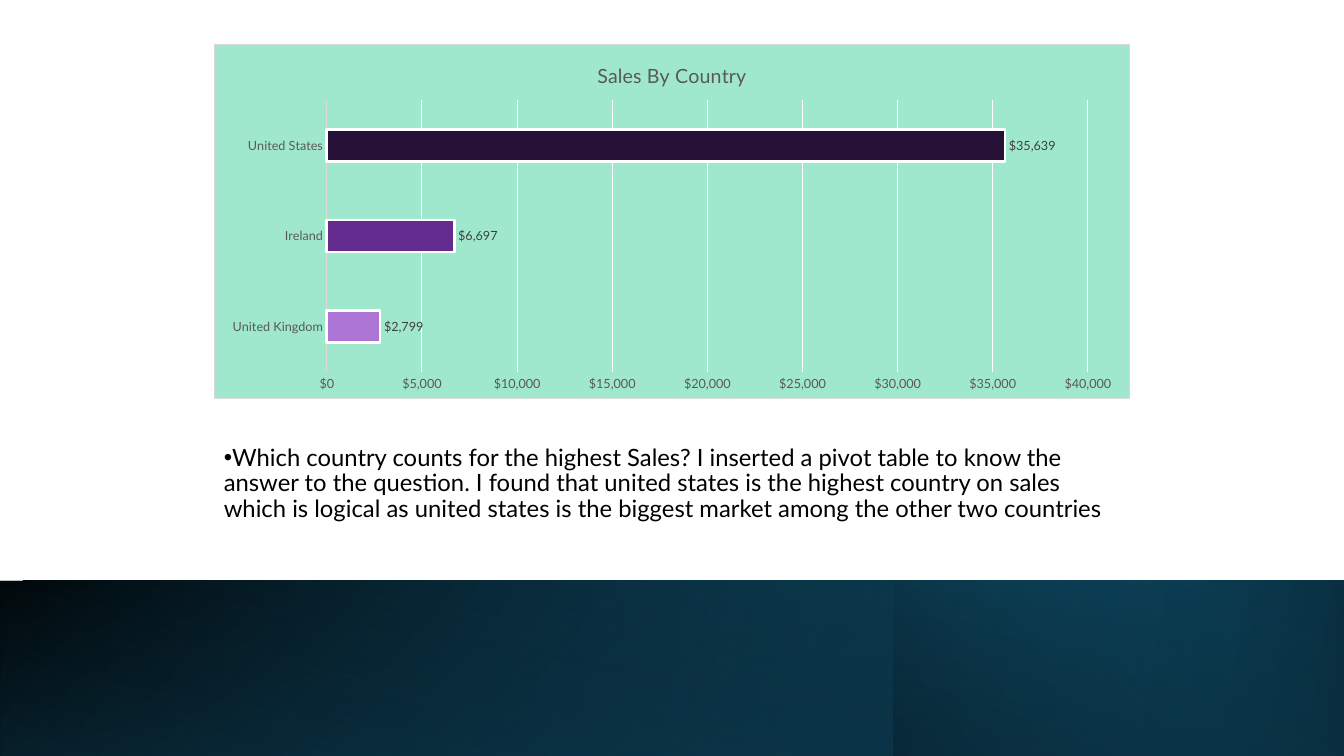
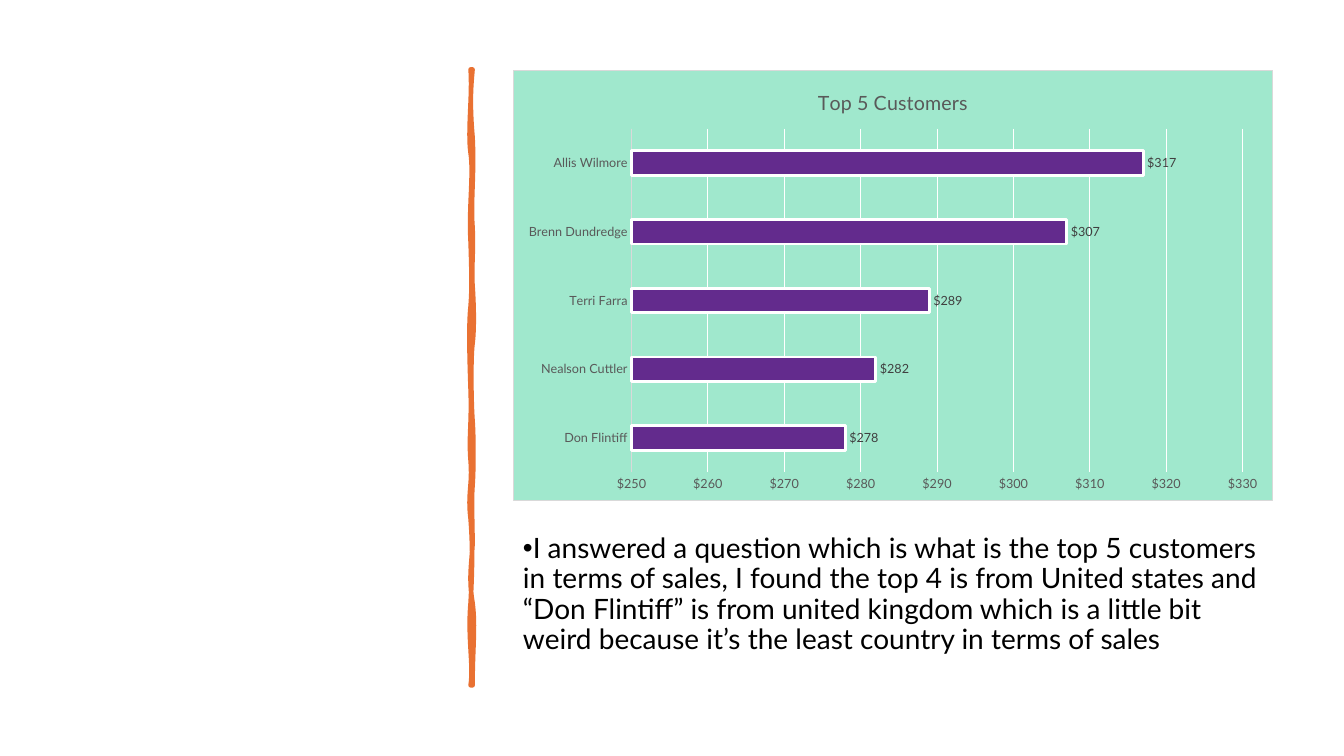
"""Build two sales slides, each with a bar chart and a finding."""
from pptx import Presentation, oxml, util as u
from pptx.chart import data
from pptx.dml.color import RGBColor
from pptx.enum import chart as charts, shapes, text
from pptx.oxml import ns

FACE = "Lato"
MONEY = '"$"#,##0'
WHITE = RGBColor(0xFF, 0xFF, 0xFF)
BLACK = RGBColor(0x00, 0x00, 0x00)
GRAY = RGBColor(0x59, 0x59, 0x59)
DARK = RGBColor(0x40, 0x40, 0x40)
PALE = RGBColor(0xD9, 0xD9, 0xD9)
MINT = RGBColor(0xA0, 0xE8, 0xCD)
LILAC = RGBColor(0xAC, 0x75, 0xD5)
PURPLE = RGBColor(0x63, 0x2B, 0x8D)
PLUM = RGBColor(0x26, 0x10, 0x36)
ORANGE = RGBColor(0xE9, 0x71, 0x32)
TEAL = RGBColor(0x15, 0x60, 0x82)
NAVY = RGBColor(0x0B, 0x30, 0x41)

WIDE, TALL = 33.87, 19.05
BAND = 14.63

SALES = {
    "title": "Sales By Country",
    "rows": [("United Kingdom", 2799), ("Ireland", 6697), ("United States", 35639)],
    "base": TEAL,
    "hues": [LILAC, PURPLE, PLUM],
    "scale": (0, 40000, 5000),
    "box": (5.39, 1.12, 23.09, 8.94),
    "note": "Which country counts for the highest Sales? I inserted a pivot table to know "
            "the answer to the question. I found that united states is the highest country "
            "on sales which is logical as united states is the biggest market among the "
            "other two countries",
    "place": (5.39, 10.65, 23.14, 3.1),
    "size": 17,
    "anchor": text.MSO_ANCHOR.MIDDLE,
}
BUYERS = {
    "title": "Top 5 Customers",
    "rows": [("Don Flintiff", 278), ("Nealson Cuttler", 282), ("Terri Farra", 289),
             ("Brenn Dundredge", 307), ("Allis Wilmore", 317)],
    "base": PURPLE,
    "hues": [],
    "scale": (250, 330, 10),
    "box": (12.93, 1.76, 19.15, 10.87),
    "note": "I answered a question which is what is the top 5 customers in terms of sales, "
            "I found the top 4 is from United states and “Don Flintiff” is from united "
            "kingdom which is a little bit weird because it’s the least country in terms "
            "of sales",
    "place": (12.93, 13.34, 19.15, 3.96),
    "size": 20,
    "anchor": text.MSO_ANCHOR.TOP,
}

# left, angle, half turn, stops of (position, colour, opacity)
SHADES = [
    (0, 140, False, [(0, BLACK, 100), (100, TEAL, 100)]),
    (0, 170, False, [(0, TEAL, 0), (100, NAVY, 100)]),
    (22.53, 220, False, [(0, NAVY, 100), (100, TEAL, 0)]),
    (0, 280, True, [(0, BLACK, 0), (99, NAVY, 55)]),
]

TOP = 1.75
LEFT, RIGHT = 11.86, 11.91
DOWN = [
    (0.05, 2.39, -0.08, 3.3, 3.86), (0.08, 4.39, -0.05, 5.21, 6.1),
    (0.03, 7.01, 0.03, 7.32, 7.72), (-0.05, 8.15, -0.03, 8.97, 9.83),
    (0.03, 10.69, -0.05, 11, 11.61), (0.05, 12.24, -0.08, 12.42, 13.08),
    (0.05, 13.74, 0.05, 14.27, 15.19), (-0.08, 16.08, 0.08, 16.76, 17.27),
]
UP = [
    (0, 16.33, 0.08, 15.8, 15.19), (-0.1, 14.58, -0.03, 14.25, 13.72),
    (0, 13.18, -0.03, 12.65, 12.24), (0.03, 11.84, 0.03, 11, 10.59),
    (-0.03, 10.21, -0.05, 9.07, 8.66), (0.05, 8.26, 0.03, 7.62, 7.19),
    (-0.03, 6.76, 0.03, 6.35, 5.72), (-0.05, 5.08, 0.05, 4.39, 3.45),
    (-0.08, 2.54, -0.03, 2.11, TOP),
]


def put(item, **values):
    for name, value in values.items():
        setattr(item, name, value)


def cms(box):
    return [u.Cm(n) for n in box]


def style(font, size, hue):
    put(font, name=FACE, size=u.Pt(size), bold=False)
    font.color.rgb = hue


def paint(form, hue, edge, width):
    form.fill.solid()
    form.fill.fore_color.rgb = hue
    rule(form.line, edge, width)


def rule(line, hue, width):
    line.color.rgb = hue
    line.width = u.Pt(width)


def shade(slide, left, angle, turn, stops):
    box = cms((left, BAND, WIDE - left, TALL - BAND))
    rect = slide.shapes.add_shape(shapes.MSO_SHAPE.RECTANGLE, *box)
    rect.shadow.inherit = False
    rect.line.fill.background()
    rect.fill.background()
    props = rect._element.spPr
    if turn:
        rect.rotation = 180
    else:
        props.find(ns.qn("a:xfrm")).set("flipH", "1")
    marks = "".join(
        f'<a:gs pos="{pos * 1000}"><a:srgbClr val="{hue}">'
        f'<a:alpha val="{alpha * 1000}"/></a:srgbClr></a:gs>'
        for pos, hue, alpha in stops)
    grad = oxml.parse_xml(
        f'<a:gradFill {ns.nsdecls("a")} rotWithShape="1"><a:gsLst>{marks}</a:gsLst>'
        f'<a:lin ang="{angle * 60000}" scaled="0"/></a:gradFill>')
    props.replace(props.find(ns.qn("a:noFill")), grad)


def bend(line, x, curve):
    dx1, y1, dx2, y2, end = curve
    dots = [(x + dx1, y1), (x + dx2, y2), (x, end)]
    marks = "".join(
        f'<a:pt x="{round((px - LEFT) * 1000)}" y="{round((py - TOP) * 1000)}"/>'
        for px, py in dots)
    line.getparent().replace(line, oxml.parse_xml(
        f'<a:cubicBezTo {ns.nsdecls("a")}>{marks}</a:cubicBezTo>'))


def stroke(slide):
    ends = [(LEFT, c[-1]) for c in DOWN] + [(RIGHT, DOWN[-1][-1])]
    ends += [(RIGHT, c[-1]) for c in UP]
    pen = slide.shapes.build_freeform(LEFT * 1000, TOP * 1000, scale=u.Cm(0.001))
    pen.add_line_segments([(x * 1000, y * 1000) for x, y in ends], close=True)
    bar = pen.convert_to_shape()
    lines = list(bar._element.iter(ns.qn("a:lnTo")))
    for line, curve in zip(lines, DOWN):
        bend(line, LEFT, curve)
    for line, curve in zip(lines[len(DOWN) + 1:], UP):
        bend(line, RIGHT, curve)
    bar.shadow.inherit = False
    paint(bar, ORANGE, ORANGE, 3.25)


def write(slide, item):
    frame = slide.shapes.add_textbox(*cms(item["place"])).text_frame
    put(frame, word_wrap=True, vertical_anchor=item["anchor"])
    para = frame.paragraphs[0]
    put(para, line_spacing=0.9, space_after=u.Pt(6))
    run = para.add_run()
    run.text = item["note"]
    style(run.font, item["size"], BLACK)
    props = para._p.get_or_add_pPr()
    props.set("marL", "0")
    props.set("indent", str(-u.Cm(0.635)))
    for mark in ('buFont {} typeface="Arial"', 'buChar {} char="•"'):
        props.append(oxml.parse_xml(f'<a:{mark.format(ns.nsdecls("a"))}/>'))


def back(chart):
    chart._chartSpace.chart.addnext(oxml.parse_xml(
        f'<c:spPr {ns.nsdecls("c", "a")}><a:solidFill><a:srgbClr val="{MINT}"/></a:solidFill>'
        f'<a:ln w="{u.Pt(0.75)}"><a:solidFill><a:srgbClr val="{PALE}"/></a:solidFill></a:ln>'
        '</c:spPr>'))


def plot(slide, item):
    names, sums = zip(*item["rows"])
    feed = data.CategoryChartData(number_format=MONEY)
    feed.categories = names
    feed.add_series("Series 1", sums)
    chart = slide.shapes.add_chart(
        charts.XL_CHART_TYPE.BAR_CLUSTERED, *cms(item["box"]), feed).chart
    style(chart.font, 10, BLACK)
    put(chart, has_legend=False, has_title=True)
    head = chart.chart_title.text_frame
    head.text = item["title"]
    style(head.paragraphs[0].runs[0].font, 14, GRAY)

    low, high, step = item["scale"]
    cats, vals = chart.category_axis, chart.value_axis
    for axis in (cats, vals):
        put(axis, major_tick_mark=charts.XL_TICK_MARK.NONE,
            minor_tick_mark=charts.XL_TICK_MARK.NONE)
        style(axis.tick_labels.font, 9, GRAY)
    put(cats, has_major_gridlines=False)
    rule(cats.format.line, PALE, 0.75)
    put(vals, minimum_scale=low, maximum_scale=high, major_unit=step,
        has_major_gridlines=True)
    put(vals.tick_labels, number_format=MONEY, number_format_is_linked=False)
    vals.format.line.fill.background()
    rule(vals.major_gridlines.format.line, WHITE, 0.75)

    bars = chart.plots[0]
    put(bars, gap_width=182, vary_by_categories=False, has_data_labels=True)
    put(bars.data_labels, show_value=True, number_format=MONEY,
        number_format_is_linked=False, position=charts.XL_LABEL_POSITION.OUTSIDE_END)
    style(bars.data_labels.font, 9, DARK)
    row = bars.series[0]
    paint(row.format, item["base"], WHITE, 2)
    for spot, hue in enumerate(item["hues"]):
        paint(row.points[spot].format, hue, WHITE, 2)
    back(chart)


def main():
    deck = Presentation()
    put(deck, slide_width=u.Cm(WIDE), slide_height=u.Cm(TALL))
    for item in (SALES, BUYERS):
        slide = deck.slides.add_slide(deck.slide_layouts[6])
        if item is SALES:
            for band in SHADES:
                shade(slide, *band)
        else:
            stroke(slide)
        write(slide, item)
        plot(slide, item)
    deck.save("out.pptx")


if __name__ == "__main__":
    main()
